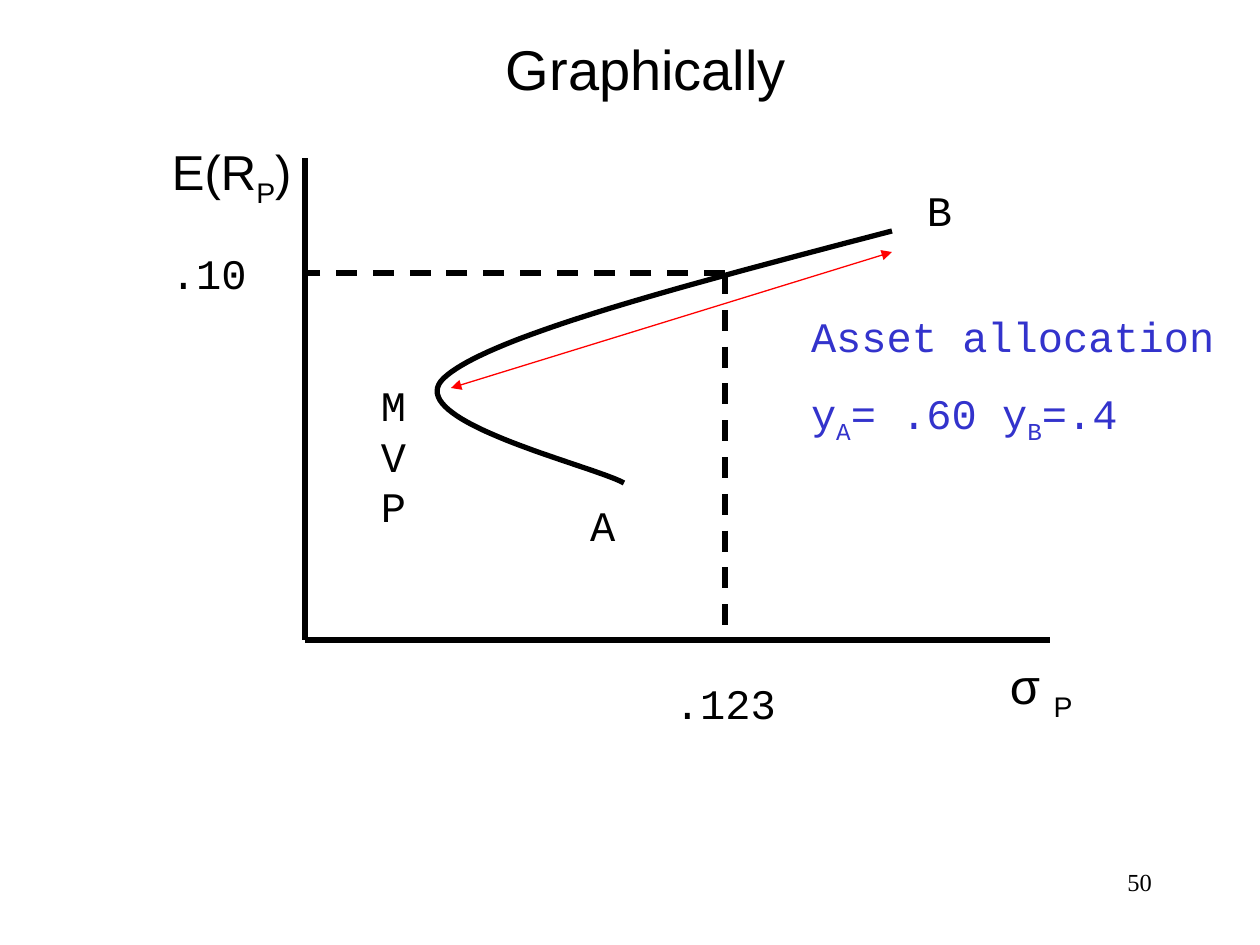
import pptx
import pptx.dml.color
import pptx.enum.dml
import pptx.enum.shapes
import pptx.enum.text
import pptx.oxml.ns
import pptx.util
from lxml import etree

BLACK = pptx.dml.color.RGBColor(0x00, 0x00, 0x00)
RED = pptx.dml.color.RGBColor(0xFF, 0x00, 0x00)
BLUE = pptx.dml.color.RGBColor(0x33, 0x33, 0xCC)
ALIGN = pptx.enum.text.PP_ALIGN
ANCHOR = pptx.enum.text.MSO_ANCHOR
DASH = pptx.enum.dml.MSO_LINE_DASH_STYLE.DASH
EMU_PER_PX = 914400 / 126
CURVE_STEPS = 40


def px(length):
    return pptx.util.Emu(round(length * EMU_PER_PX))


def add_text(slide, box, text, *, font="Courier New", size=24, color=BLACK,
             align=ALIGN.LEFT, anchor=ANCHOR.TOP, inset=(13, 6), space_before=15):
    """Place text; newlines split paragraphs, underscores enclose subscripts."""
    shape = slide.shapes.add_textbox(*map(px, box))
    frame = shape.text_frame
    frame.word_wrap = True
    frame.vertical_anchor = anchor
    frame.margin_left = frame.margin_right = px(inset[0])
    frame.margin_top = frame.margin_bottom = px(inset[1])
    for index, line in enumerate(text.split("\n")):
        paragraph = frame.add_paragraph() if index else frame.paragraphs[0]
        paragraph.alignment = align
        if index:
            paragraph.space_before = pptx.util.Pt(space_before)
        for position, part in enumerate(line.split("_")):
            if not part:
                continue
            run = paragraph.add_run()
            run.text = part
            run.font.name = font
            run.font.size = pptx.util.Pt(size)
            run.font.color.rgb = color
            if position % 2:
                run._r.get_or_add_rPr().set("baseline", "-25000")


def add_line(slide, start, end, *, color=BLACK, width=3, dash=None, arrows=False):
    connector = slide.shapes.add_connector(
        pptx.enum.shapes.MSO_CONNECTOR.STRAIGHT, *map(px, (*start, *end)))
    connector.line.color.rgb = color
    connector.line.width = pptx.util.Pt(width)
    if dash:
        connector.line.dash_style = dash
    if arrows:
        line = connector.line._get_or_add_ln()
        for tag in ("a:headEnd", "a:tailEnd"):
            etree.SubElement(line, pptx.oxml.ns.qn(tag), type="triangle")
    etree.SubElement(connector._element.spPr, pptx.oxml.ns.qn("a:effectLst"))


def bezier_points(controls):
    """Sample one cubic curve, leaving out its first point."""
    for step in range(1, CURVE_STEPS + 1):
        t = step / CURVE_STEPS
        weights = ((1 - t) ** 3, 3 * t * (1 - t) ** 2, 3 * t * t * (1 - t), t ** 3)
        yield tuple(sum(w * point[axis] for w, point in zip(weights, controls))
                    for axis in (0, 1))


def add_curve(slide, controls):
    points = [point for first in range(0, len(controls) - 1, 3)
              for point in bezier_points(controls[first:first + 4])]
    builder = slide.shapes.build_freeform(*map(px, controls[0]))
    builder.add_line_segments([tuple(map(px, point)) for point in points], close=False)
    shape = builder.convert_to_shape()
    shape.shadow.inherit = False
    shape.fill.background()
    shape.line.color.rgb = BLACK
    shape.line.width = pptx.util.Pt(3)


def add_frontier_diagram(slide, box):
    left, top, width, height = box

    def at(x, y):
        return left + x, top + y

    def label(x, y, label_width, label_height, text, **style):
        add_text(slide, (*at(x, y), label_width, label_height), text, **style)

    origin = at(0, height)
    guide_x, guide_y = 420, 115
    axis_style = dict(font="Arial", size=28, inset=(0, 0))

    label(-133, -16, 130, 60, "E(R_P_)", **axis_style)
    label(705, 498, 100, 60, "σ _P_", **axis_style)
    add_line(slide, at(width, height), origin)
    add_line(slide, origin, at(0, 0))
    add_curve(slide, [at(*point) for point in (
        (587, 73), (385, 126), (184, 178), (139, 220),
        (94, 262), (286, 307), (319, 325))])
    label(63, 216, 63, 164, "MVP")
    add_line(slide, at(146, 230), at(587, 94), color=RED, width=0.75, arrows=True)
    for end in (at(guide_x, height), at(0, guide_y)):
        add_line(slide, at(guide_x, guide_y), end, dash=DASH)
    label(493, 147, 462, 147, "Asset allocation\ny_A_= .60 y_B_=.4", color=BLUE)
    label(357, 514, 158, 63, ".123")
    label(-147, 84, 105, 63, ".10")
    label(272, 336, 95, 63, "A")
    label(609, 21, 73, 63, "B")


def main():
    presentation = pptx.Presentation()
    presentation.slide_width = px(1260)
    presentation.slide_height = px(945)
    slide = presentation.slides.add_slide(presentation.slide_layouts[6])
    add_text(slide, (32, 21, 1228, 95), "Graphically", font="Arial", size=32,
             align=ALIGN.CENTER, anchor=ANCHOR.MIDDLE)
    add_frontier_diagram(slide, (305, 158, 745, 482))
    add_text(slide, (903, 861, 262, 63), "50", font="Times New Roman", size=14,
             align=ALIGN.RIGHT)
    presentation.save("out.pptx")


if __name__ == "__main__":
    main()
